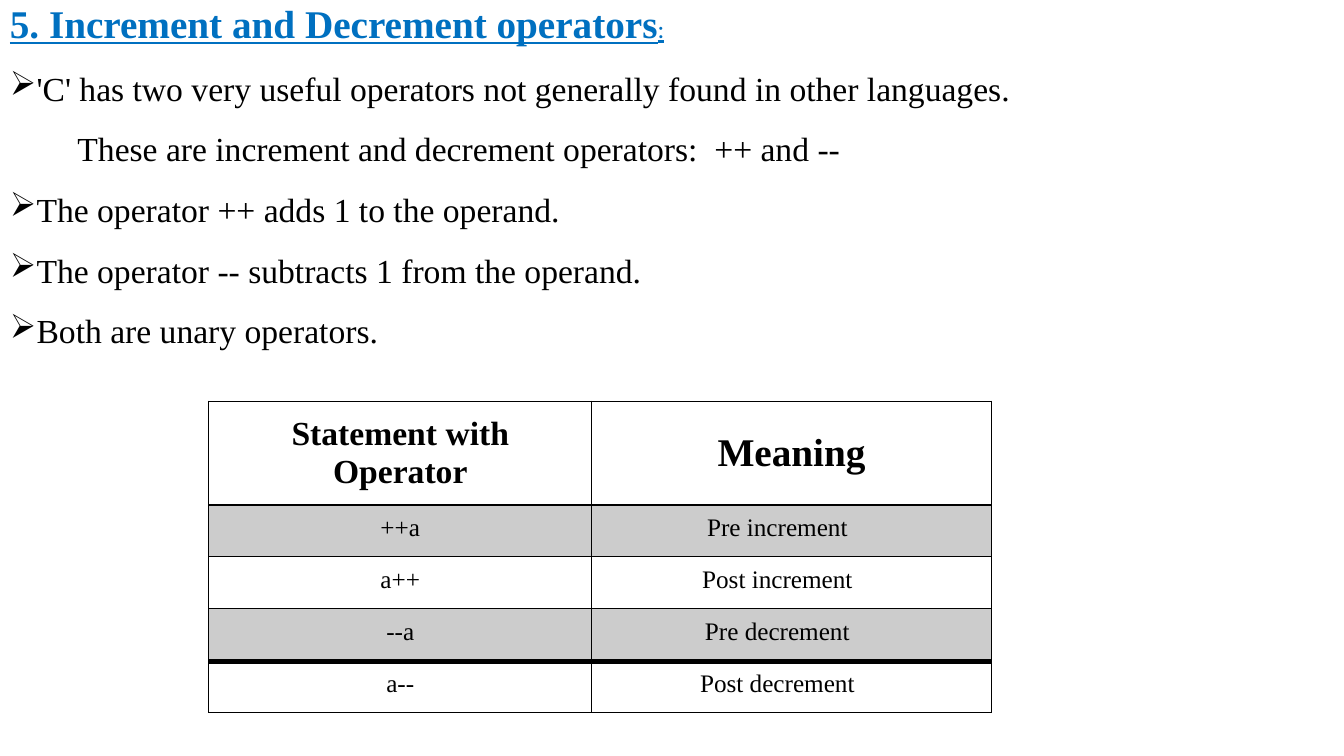
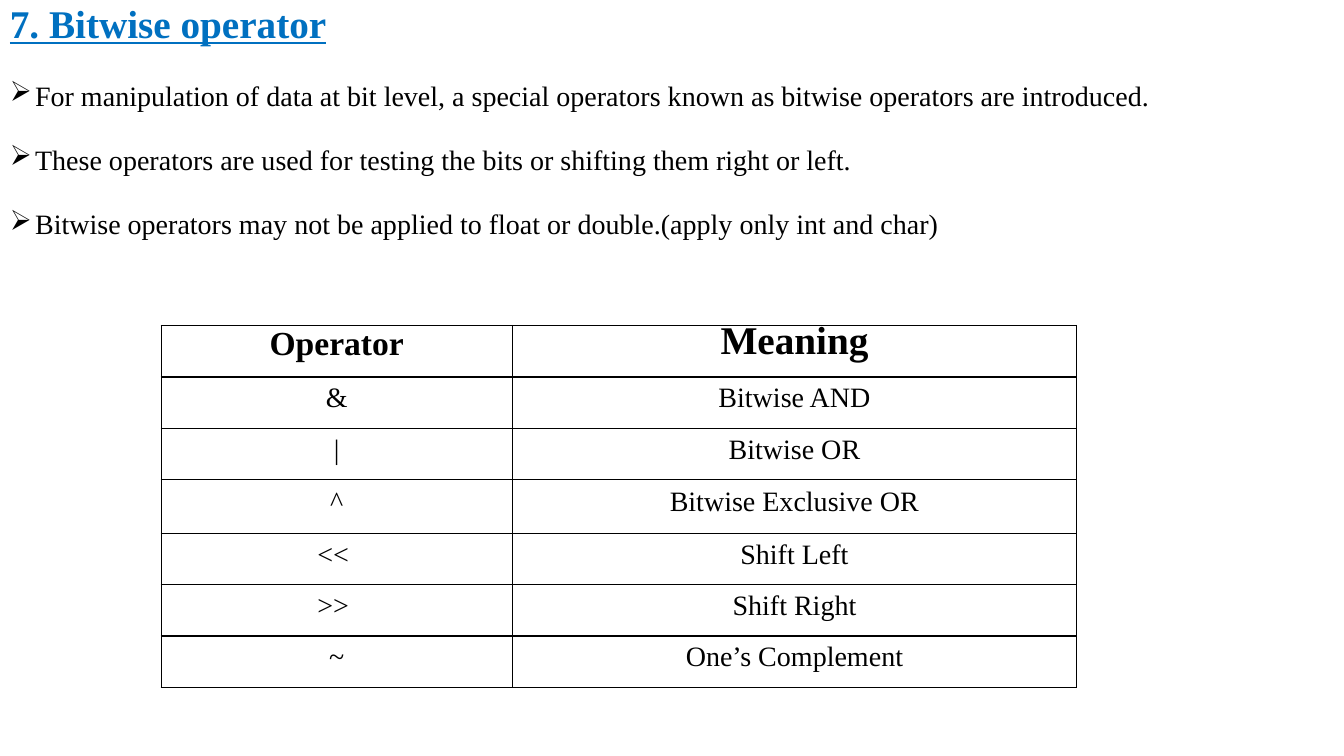
import pptx
import pptx.dml.color
import pptx.enum.text
import pptx.oxml
import pptx.oxml.ns
import pptx.util

WIDTH, HEIGHT = 13.33, 7.5
FONT = "Times New Roman"
BLUE, BLACK, WHITE, GREY = "0070C0", "000000", "FFFFFF", "CCCCCC"
SIDES = ("L", "R", "T", "B")
NS = pptx.oxml.ns.nsdecls("a")
IN, PT = pptx.util.Inches, pptx.util.Pt


def color(value):
    return pptx.dml.color.RGBColor.from_string(value)


def add_run(p, text, size, hue=BLACK, bold=False, underline=False, font=FONT):
    r = p.add_run()
    r.text = text
    r.font.name, r.font.size = font, PT(size)
    r.font.bold, r.font.underline = bold, underline
    r.font.color.rgb = color(hue)


def indent(p, left=0, first=0, right=0):
    pPr = p._p.get_or_add_pPr()
    for name, value in (("marL", left), ("indent", first), ("marR", right)):
        pPr.set(name, str(int(IN(value))))


def add_body(slide, box, title_runs, items, size, gap):
    """Title and its points; each item is (text, has an arrow bullet)."""
    tf = slide.shapes.add_textbox(*(IN(v) for v in box)).text_frame
    tf.word_wrap = True
    p = tf.paragraphs[0]
    p.line_spacing, p.space_before = 0.9, PT(10)
    for text, style in title_runs:
        add_run(p, text, hue=BLUE, underline=True, **style)
    for text, bulleted in items:
        p = tf.add_paragraph()
        p.line_spacing, p.space_before = 1.5, PT(gap)
        if bulleted:
            indent(p, 0.25, -0.25)
            p._p.get_or_add_pPr().append(
                pptx.oxml.parse_xml(f'<a:buChar {NS} char="➢"/>'))
        else:
            indent(p, 0.67)
        add_run(p, text, size)


def set_borders(cell, widths):
    tcPr = cell._tc.get_or_add_tcPr()
    for position, side in enumerate(SIDES):
        tcPr.insert(position, pptx.oxml.parse_xml(
            f'<a:ln{side} {NS} w="{int(PT(widths.get(side, 1)))}"><a:solidFill>'
            f'<a:srgbClr val="{BLACK}"/></a:solidFill></a:ln{side}>'))


def fill_cell(cell, text, size, bold, fill, leading, right):
    cell.fill.solid()
    cell.fill.fore_color.rgb = color(fill)
    cell.margin_left = cell.margin_right = cell.margin_top = cell.margin_bottom = 0
    cell.vertical_anchor = pptx.enum.text.MSO_ANCHOR.MIDDLE
    tf = cell.text_frame
    for i, line in enumerate(text.split("\n")):
        p = tf.add_paragraph() if i else tf.paragraphs[0]
        p.alignment = pptx.enum.text.PP_ALIGN.CENTER
        if leading:
            p.line_spacing = PT(leading)
        indent(p, right=right)
        add_run(p, line, size, bold=bold)


def add_grid(slide, origin, columns, heights, rows, size, head_leading=None,
             shaded=(), rules=None, right=0):
    """Table with a bold first row; rules maps a row's top edge to its width."""
    rules = rules or {}
    frame = slide.shapes.add_table(
        len(rows), len(columns), *(IN(v) for v in origin),
        IN(sum(columns)), IN(sum(heights)))
    table = frame.table
    table.first_row = table.horz_banding = False
    for column, width in zip(table.columns, columns):
        column.width = IN(width)
    for i, (row, height) in enumerate(zip(rows, heights)):
        table.rows[i].height = IN(height)
        for j, text in enumerate(row):
            head = i == 0
            cell = table.cell(i, j)
            fill_cell(cell, text, (24, 28)[j] if head else size, head,
                      GREY if i in shaded else WHITE,
                      head_leading if head else 16,
                      right if j and not head else 0)
            set_borders(cell, {"T": rules.get(i, 1), "B": rules.get(i + 1, 1)})


def build_increment(slide):
    add_body(
        slide, (0, 0, WIDTH, HEIGHT),
        [("5. Increment and Decrement operators", {"size": 28, "bold": True}),
         (":", {"size": 18, "font": "Calibri"})],
        [("'C' has two very useful operators not generally found in other languages.", True),
         ("These are increment and decrement operators:  ++ and --", False),
         ("The operator ++ adds 1 to the operand.", True),
         ("The operator -- subtracts 1 from the operand.", True),
         ("Both are unary operators.", True)],
        size=24, gap=0.1)
    add_grid(
        slide, (2.07, 3.98), (3.8, 3.96), (1.03, 0.51, 0.52, 0.52, 0.51),
        [("Statement with\nOperator", "Meaning"),
         ("++a", "Pre increment"),
         ("a++", "Post increment"),
         ("--a", "Pre decrement"),
         ("a--", "Post decrement")],
        size=18, shaded=(1, 3), rules={1: 2, 4: 4}, right=0.28)


def build_bitwise(slide):
    add_body(
        slide, (0, 0, WIDTH - 0.13, HEIGHT),
        [("7. Bitwise operator", {"size": 28, "bold": True})],
        [("For manipulation of data at bit level, a special operators known as "
          "bitwise operators are introduced.", True),
         ("These operators are used for testing the bits or shifting them right or left.", True),
         ("Bitwise operators may not be applied to float or double."
          "(apply only int and char)", True)],
        size=20, gap=10)
    add_grid(
        slide, (1.6, 3.23), (3.48, 5.6), (0.51, 0.51, 0.51, 0.53, 0.51, 0.51, 0.51),
        [("Operator", "Meaning"),
         ("&", "Bitwise AND"),
         ("|", "Bitwise OR"),
         ("^", "Bitwise Exclusive OR"),
         ("<< ", "Shift Left"),
         (">> ", "Shift Right"),
         ("~", "One’s Complement")],
        size=20, head_leading=16)


def main():
    prs = pptx.Presentation()
    prs.slide_width, prs.slide_height = IN(WIDTH), IN(HEIGHT)
    for build in (build_increment, build_bitwise):
        build(prs.slides.add_slide(prs.slide_layouts[6]))
    prs.save("out.pptx")


if __name__ == "__main__":
    main()
